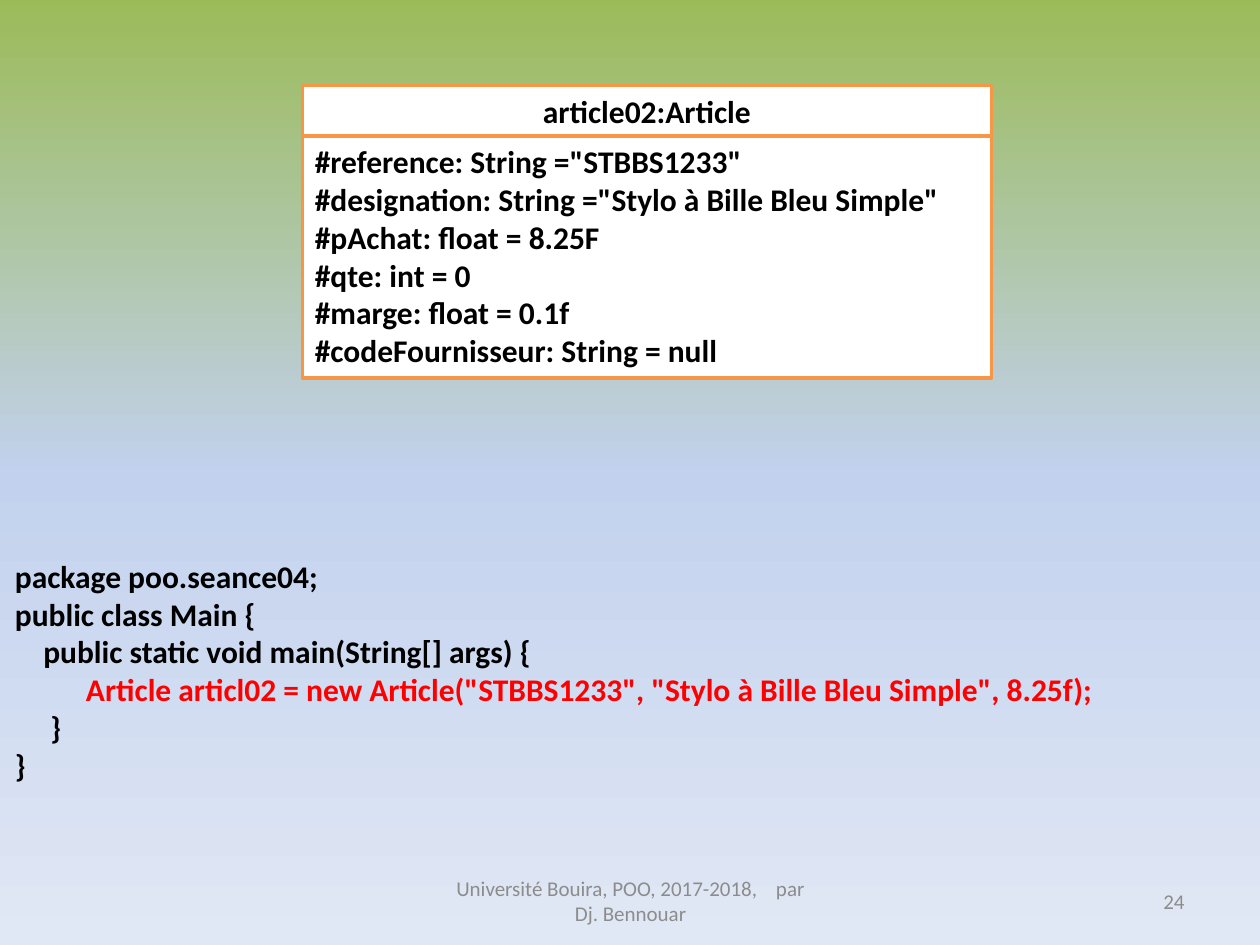
from copy import deepcopy

from pptx import Presentation
from pptx import util as u
from pptx.dml.color import RGBColor
from pptx.enum import shapes, text

COLORS = {
    "green": "9BBB59", "blue": "C2D1ED", "pale": "E1E8F5",
    "white": "FFFFFF", "orange": "F79646",
    "black": "000000", "red": "FF0000", "gray": "8C8C8C",
}
LEFT, CENTER, RIGHT = (text.PP_ALIGN.LEFT, text.PP_ALIGN.CENTER,
                       text.PP_ALIGN.RIGHT)
TOP, MIDDLE = text.MSO_ANCHOR.TOP, text.MSO_ANCHOR.MIDDLE

ATTRIBUTES = [
    '#reference: String ="STBBS1233"',
    '#designation: String ="Stylo à Bille Bleu Simple"',
    "#pAchat: float = 8.25F",
    "#qte: int = 0",
    "#marge: float = 0.1f",
    "#codeFournisseur: String = null",
]
CODE = [
    "package poo.seance04;",
    "public class Main {",
    "    public static void main(String[] args) {",
    '          Article articl02 = new Article("STBBS1233", '
    '"Stylo à Bille Bleu Simple", 8.25f);',
    "     }",
    "}",
]


def rgb(name):
    return RGBColor.from_string(COLORS[name])


class SlideBuilder:
    """Holds the text style and the slide being filled."""
    font = "Calibri"

    def __init__(self, s):
        self.s = s

    def background(self, names):
        """Fill the slide from top to bottom with evenly spaced colours."""
        fill = self.s.background.fill
        fill.gradient()
        fill.gradient_angle = 270
        gs_list = fill.gradient_stops[0]._gs.getparent()
        while len(gs_list) < len(names):
            gs_list.append(deepcopy(gs_list[0]))
        for i, (stop, name) in enumerate(zip(fill.gradient_stops, names)):
            stop.position = i / (len(names) - 1)
            stop.color.rgb = rgb(name)

    def set_text(self, sp, lines, size=18, color="black", bold=True,
                 align=LEFT, anchor=TOP):
        tf = sp.text_frame
        tf.word_wrap = True
        tf.vertical_anchor = anchor
        for i, line in enumerate(lines):
            p = tf.paragraphs[0] if i == 0 else tf.add_paragraph()
            p.add_run().text = line
            p.alignment = align
            p.font.name = self.font
            p.font.size = u.Pt(size)
            p.font.bold = bold
            p.font.color.rgb = rgb(color)
        return tf

    def text_box(self, box, lines, **style):
        sp = self.s.shapes.add_textbox(*map(u.Inches, box))
        return self.set_text(sp, lines, **style)

    def footer(self, left, width, line, align):
        self.text_box((left, 6.95, width, 0.4), [line], size=12,
                      color="gray", bold=False, align=align, anchor=MIDDLE)

    def object_diagram(self, left, top, width, title, attributes):
        """Draw a title compartment above an attribute compartment."""
        group = self.s.shapes.add_group_shape()
        title_height, body_height = 0.4, 1.92
        for y, height, lines, align in (
                (top, title_height, [title], CENTER),
                (top + title_height, body_height, attributes, LEFT)):
            sp = group.shapes.add_shape(
                shapes.MSO_SHAPE.RECTANGLE,
                *map(u.Inches, (left, y, width, height)))
            sp.shadow.inherit = False
            sp.fill.solid()
            sp.fill.fore_color.rgb = rgb("white")
            sp.line.color.rgb = rgb("orange")
            sp.line.width = u.Pt(2)
            self.set_text(sp, lines, align=align)


def main():
    prs = Presentation()
    prs.slide_width, prs.slide_height = u.Inches(10), u.Inches(7.5)
    slide = SlideBuilder(prs.slides.add_slide(prs.slide_layouts[6]))

    slide.background(["green", "blue", "pale"])
    slide.footer(3.42, 3.17,
                 "Université Bouira, POO, 2017-2018,    par Dj. Bennouar",
                 CENTER)
    slide.footer(7.17, 2.33, "24", RIGHT)
    code = slide.text_box((0.02, 4.37, 9.69, 1.92), CODE)
    code.paragraphs[3].font.color.rgb = rgb("red")
    slide.object_diagram(2.4, 0.68, 5.47, "article02:Article", ATTRIBUTES)

    prs.save("out.pptx")


if __name__ == "__main__":
    main()
